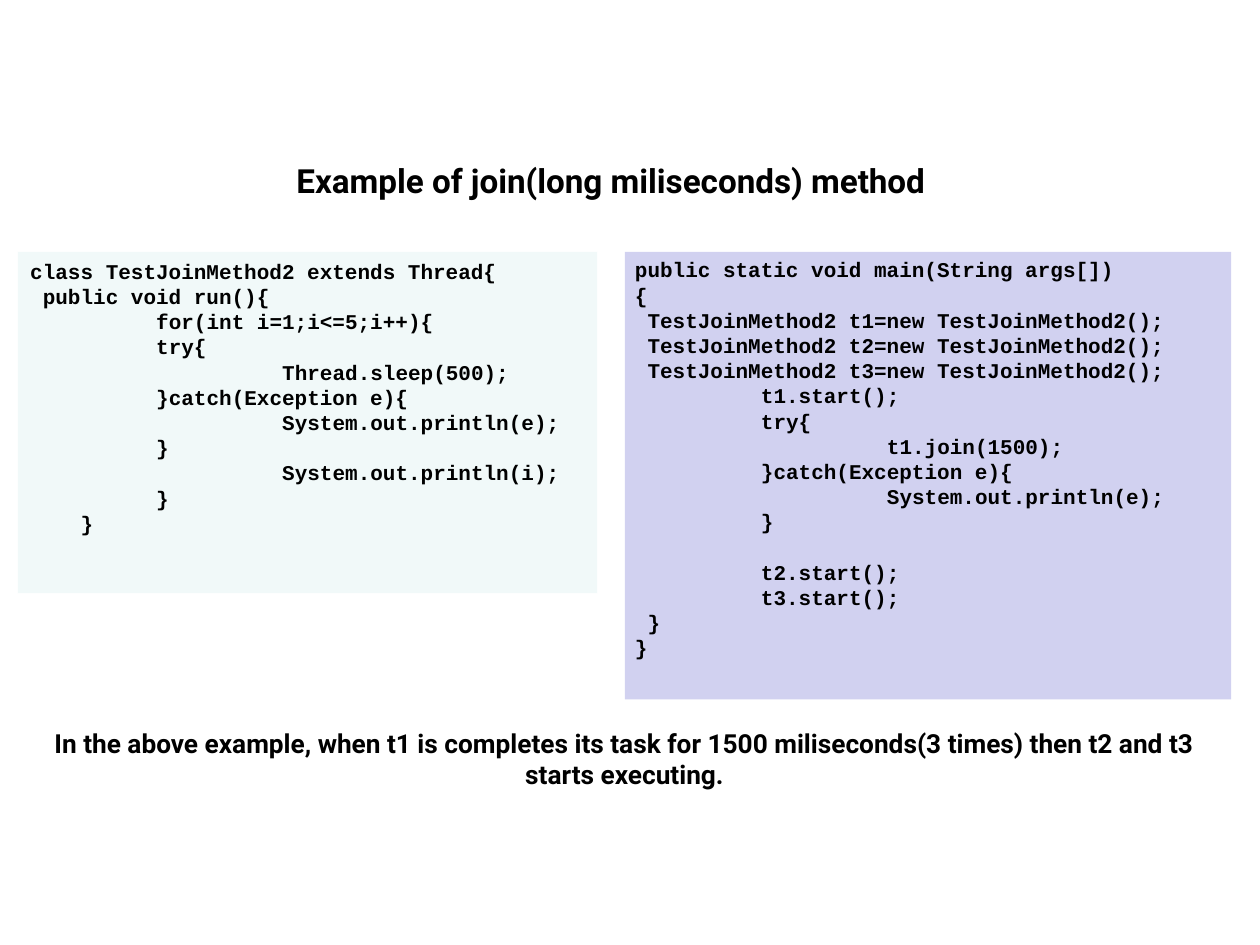
import dataclasses

import lxml.etree
import pptx
import pptx.dml.color
import pptx.enum.shapes
import pptx.enum.text
import pptx.oxml.ns
import pptx.util

Cm = pptx.util.Cm
Pt = pptx.util.Pt
Align = pptx.enum.text.PP_ALIGN
Anchor = pptx.enum.text.MSO_ANCHOR


@dataclasses.dataclass(frozen=True)
class Theme:
    ink: str = "000000"
    thread_fill: str = "F1F9F9"
    main_fill: str = "D1D1F0"
    prose_font: str = "Roboto"
    code_font: str = "Courier New"
    title_size: float = 19
    note_size: float = 15
    code_size: float = 12
    code_pitch: float = 14.4
    tab_width: float = 2.54


THREAD_CODE = [
    "class TestJoinMethod2 extends Thread{",
    " public void run(){",
    "\tfor(int i=1;i<=5;i++){",
    "\ttry{",
    "\t\tThread.sleep(500);",
    "\t}catch(Exception e){",
    "\t\tSystem.out.println(e);",
    "\t}",
    "\t\tSystem.out.println(i);",
    "\t}",
    "    }",
]

# Each block is set apart from the one before by the height of a line
MAIN_SETUP = [
    "public static void main(String args[])",
    "{",
    " TestJoinMethod2 t1=new TestJoinMethod2();",
    " TestJoinMethod2 t2=new TestJoinMethod2();",
    " TestJoinMethod2 t3=new TestJoinMethod2();",
    "\tt1.start();",
    "\ttry{",
    "\t\tt1.join(1500);",
    "\t}catch(Exception e){",
    "\t\tSystem.out.println(e);",
    "\t}",
]
MAIN_START = ["\tt2.start();", "\tt3.start();", " }", "}"]


class CodeSlide:
    def __init__(self, slide, theme):
        self.slide = slide
        self.theme = theme

    def frame(self, shape, inset_x, inset_y, anchor):
        frame = shape.text_frame
        frame.word_wrap = True
        frame.vertical_anchor = anchor
        frame.margin_left = frame.margin_right = Cm(inset_x)
        frame.margin_top = frame.margin_bottom = Cm(inset_y)
        return frame

    def run(self, paragraph, text, font, size):
        run = paragraph.add_run()
        run.text = text
        run.font.name = font
        run.font.size = Pt(size)
        run.font.bold = True
        run.font.color.rgb = pptx.dml.color.RGBColor.from_string(self.theme.ink)

    def tabs(self, paragraph):
        qn = pptx.oxml.ns.qn
        properties = paragraph._p.get_or_add_pPr()
        stops = lxml.etree.SubElement(properties, qn("a:tabLst"))
        for column in range(8):
            position = Cm(column * self.theme.tab_width)
            lxml.etree.SubElement(stops, qn("a:tab"), pos=str(int(position)), algn="l")

    def prose(self, box, text, size, insets=(0, 0), anchor=Anchor.TOP):
        shape = self.slide.shapes.add_textbox(*map(Cm, box))
        paragraph = self.frame(shape, *insets, anchor).paragraphs[0]
        paragraph.alignment = Align.CENTER
        self.run(paragraph, text, self.theme.prose_font, size)

    def code(self, box, fill, blocks, insets):
        panel = self.slide.shapes.add_shape(
            pptx.enum.shapes.MSO_SHAPE.RECTANGLE, *map(Cm, box))
        panel.shadow.inherit = False
        panel.fill.solid()
        panel.fill.fore_color.rgb = pptx.dml.color.RGBColor.from_string(fill)
        panel.line.fill.background()
        frame = self.frame(panel, *insets, Anchor.TOP)
        for block_number, block in enumerate(blocks):
            for line_number, line in enumerate(block):
                first = block_number == line_number == 0
                paragraph = frame.paragraphs[0] if first else frame.add_paragraph()
                self.tabs(paragraph)
                paragraph.alignment = Align.LEFT
                paragraph.line_spacing = Pt(self.theme.code_pitch)
                if block_number and line_number == 0:
                    paragraph.space_before = Pt(self.theme.code_pitch)
                self.run(paragraph, line, self.theme.code_font, self.theme.code_size)


def main():
    deck = pptx.Presentation()
    deck.slide_width, deck.slide_height = Cm(25.4), Cm(19.05)
    theme = Theme()
    page = CodeSlide(deck.slides.add_slide(deck.slide_layouts[6]), theme)

    # Title
    page.prose((1.37, 3.28, 21.89, 0.69), "Example of join(long miliseconds) method",
               theme.title_size, anchor=Anchor.MIDDLE)

    # Thread class beside the main method
    page.code((0.36, 5.08, 11.68, 6.88), theme.thread_fill, [THREAD_CODE], (0.25, 0.13))
    page.code((12.6, 5.08, 12.22, 9.02), theme.main_fill,
              [MAIN_SETUP, MAIN_START], (0.2, 0.1))

    # Explanation
    page.prose((0.36, 14.53, 24.46, 1.52),
               "In the above example, when t1 is completes its task for 1500 "
               "miliseconds(3 times) then t2 and t3 starts executing.",
               theme.note_size, insets=(0.25, 0.13))

    deck.save("out.pptx")


if __name__ == "__main__":
    main()
